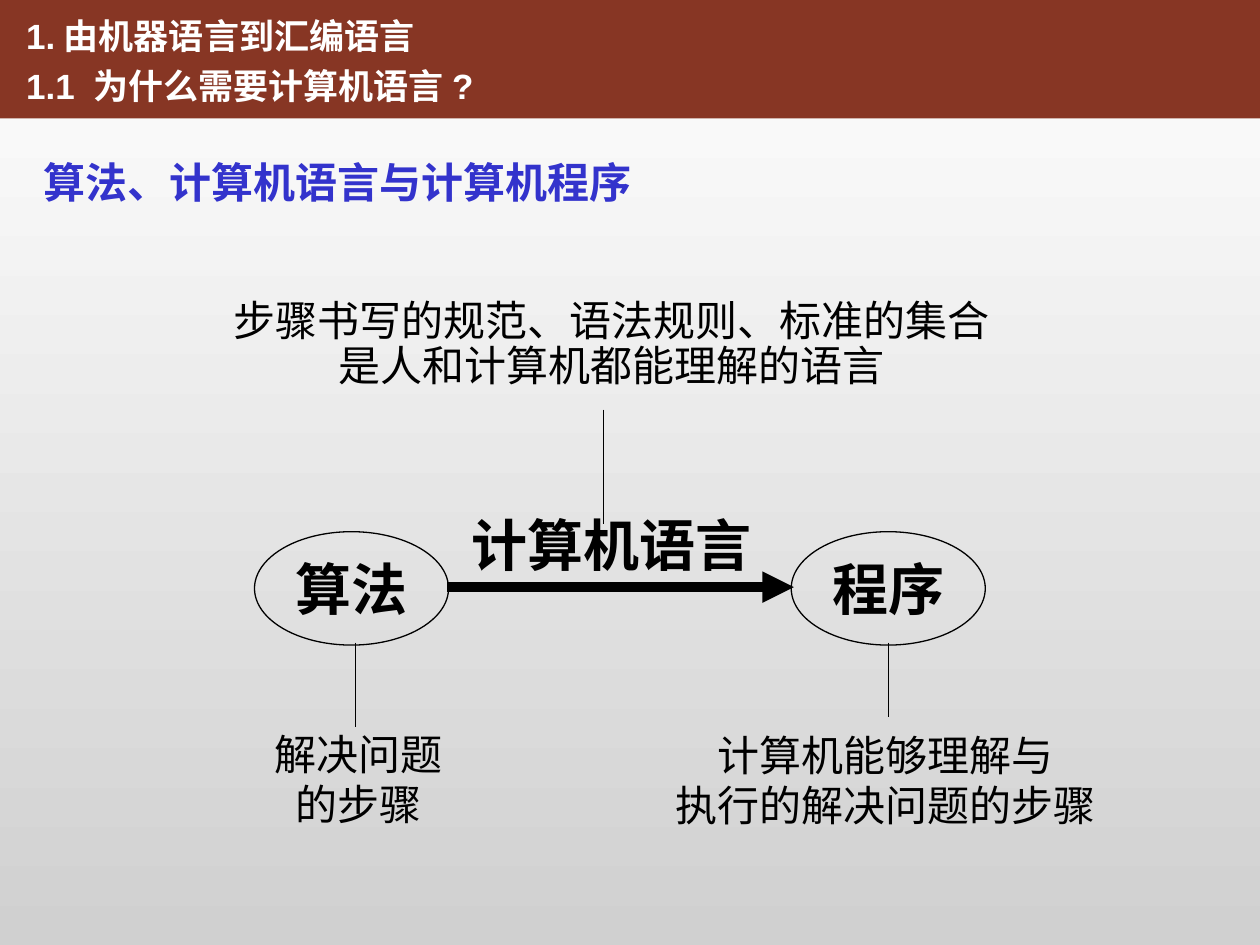
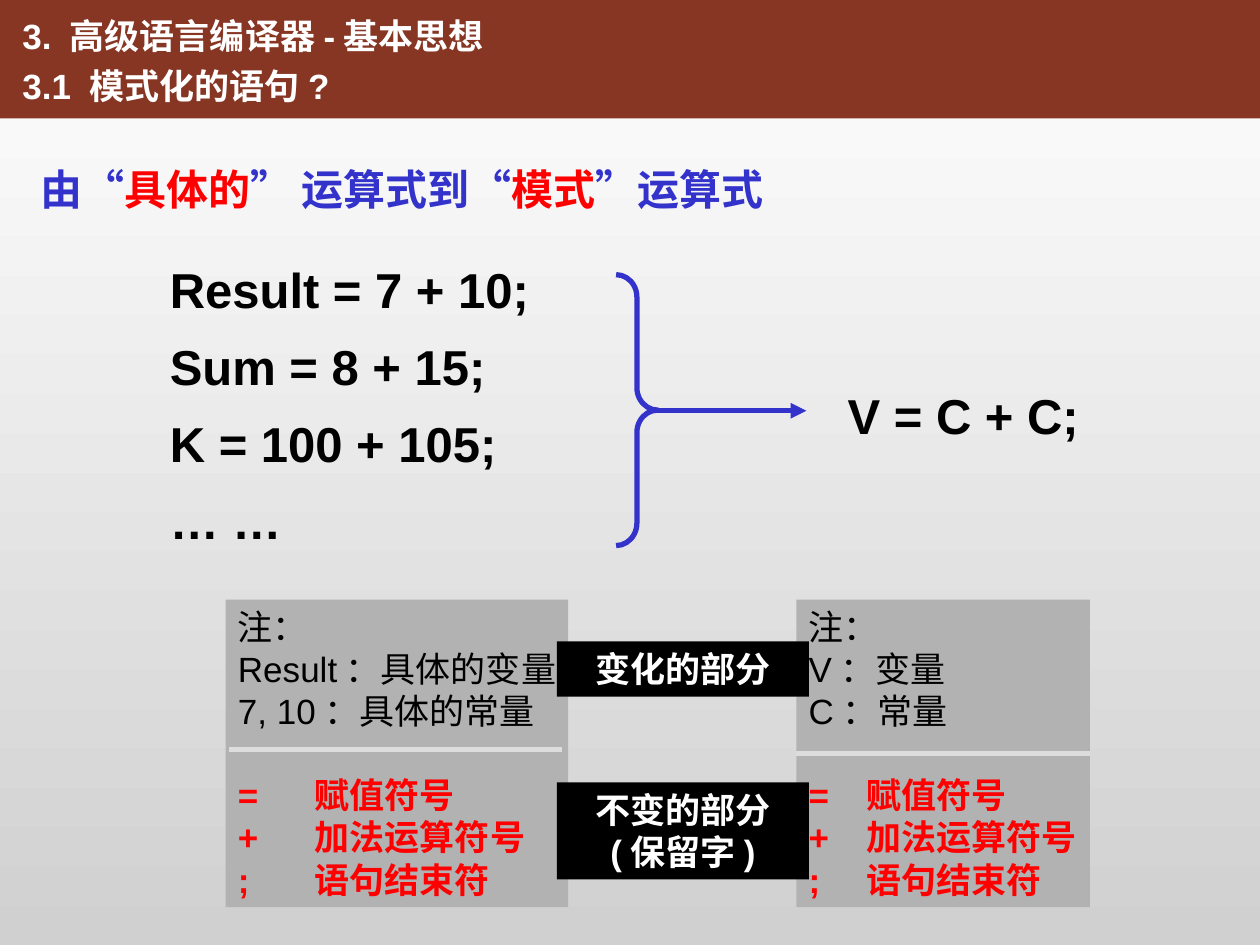
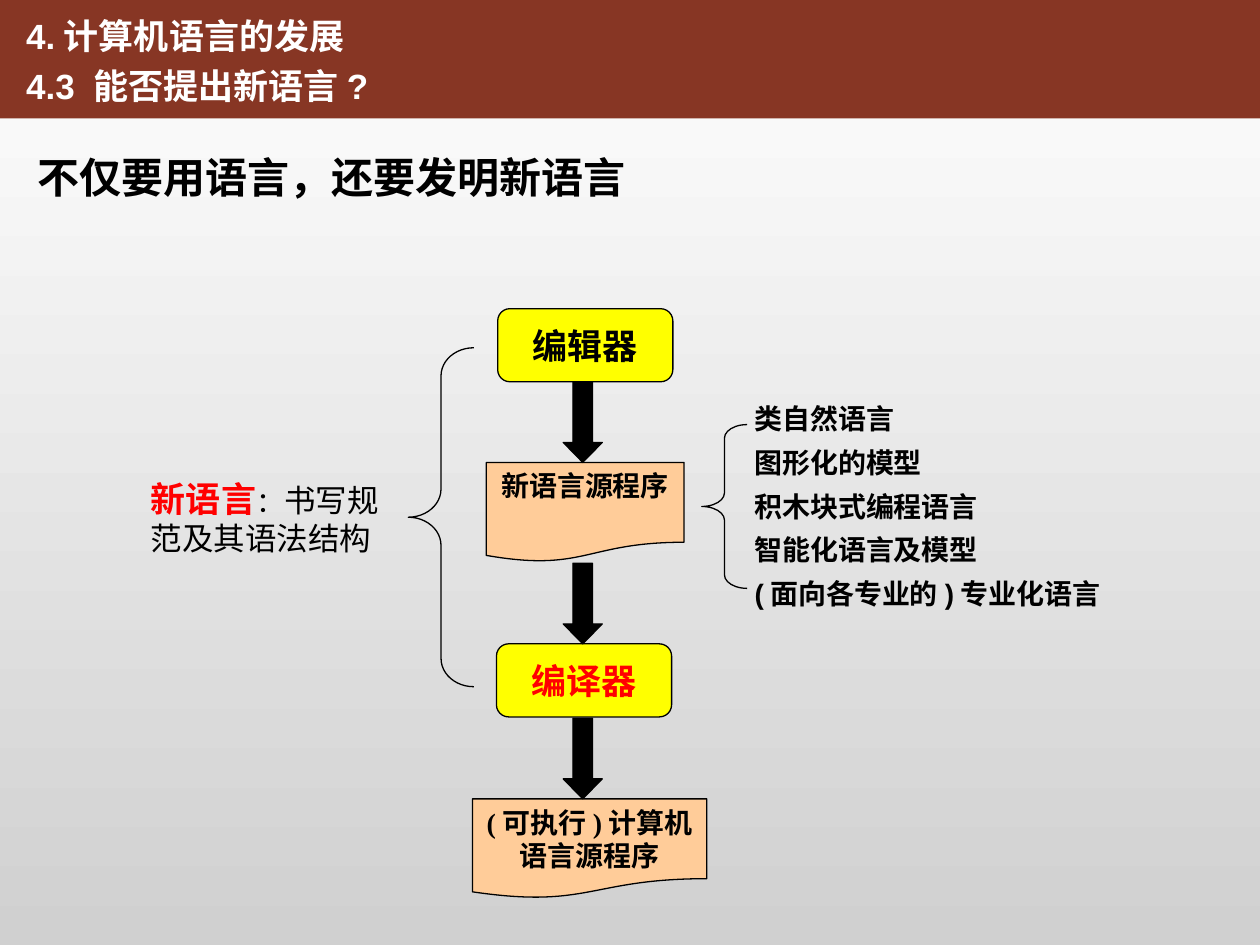
from lxml.etree import SubElement
from pptx import Presentation
from pptx.dml.color import RGBColor
from pptx.enum.shapes import MSO_CONNECTOR as Link, MSO_SHAPE as Shape
from pptx.enum.text import MSO_ANCHOR as Anchor, PP_ALIGN as Align
from pptx.oxml.ns import qn
from pptx.util import Inches, Pt

BLACK = RGBColor(0x00, 0x00, 0x00)
WHITE = RGBColor(0xFF, 0xFF, 0xFF)
RED = RGBColor(0xFF, 0x00, 0x00)
BLUE = RGBColor(0x33, 0x33, 0xCC)
BROWN = RGBColor(0x87, 0x36, 0x24)
SILVER = RGBColor(0xD0, 0xD0, 0xD0)
GRAY = RGBColor(0xB2, 0xB2, 0xB2)
RULE = RGBColor(0xDD, 0xDD, 0xDD)
YELLOW = RGBColor(0xFF, 0xFF, 0x00)
PEACH = RGBColor(0xFF, 0xCC, 0x99)
SANS = "Arial"
SERIF = "Times New Roman"


def add_span(para, words, size, color=BLACK, bold=False, font=SANS):
    span = para.add_run()
    span.text = words
    span.font.name = font
    span.font.size = Pt(size)
    span.font.bold = bold
    span.font.color.rgb = color


def write(box, lines, size, align=Align.LEFT, spacing=1.0,
          anchor=Anchor.TOP, wrap=False, **style):
    frame = box.text_frame
    frame.word_wrap = wrap
    frame.vertical_anchor = anchor
    if align == Align.LEFT and not wrap:
        frame.margin_right = 0
    for index, line in enumerate(lines):
        para = frame.add_paragraph() if index else frame.paragraphs[0]
        para.alignment = align
        para.line_spacing = spacing
        spans = [(line, {})] if isinstance(line, str) else line
        for words, changes in spans:
            add_span(para, words, **{"size": size, **style, **changes})


def add_text(page, place, lines, size, **style):
    box = page.shapes.add_textbox(*map(Inches, place))
    write(box, lines, size, **style)
    return box


def add_figure(page, kind, place, fill=None, line=BLACK, width=0.75, adjust=()):
    figure = page.shapes.add_shape(kind, *map(Inches, place))
    figure.shadow.inherit = False
    if fill is None:
        figure.fill.background()
    else:
        figure.fill.solid()
        figure.fill.fore_color.rgb = fill
    if line is None:
        figure.line.fill.background()
    else:
        figure.line.color.rgb = line
        figure.line.width = Pt(width)
    for index, value in enumerate(adjust):
        figure.adjustments[index] = value
    return figure


def add_line(page, start, end, color=BLACK, width=0.75, arrow=False):
    line = page.shapes.add_connector(Link.STRAIGHT, *map(Inches, start + end))
    line.line.color.rgb = color
    line.line.width = Pt(width)
    properties = line._element.spPr
    if arrow:
        SubElement(properties.find(qn("a:ln")), qn("a:tailEnd"), type="triangle")
    SubElement(properties, qn("a:effectLst"))
    return line


def add_tab(para, position):
    tabs = SubElement(para._p.get_or_add_pPr(), qn("a:tabLst"))
    SubElement(tabs, qn("a:tab"), pos=str(Inches(position)), algn="l")


def add_page(deck, left, width, titles):
    page = deck.slides.add_slide(deck.slide_layouts[6])
    add_figure(page, Shape.RECTANGLE, (0, 0, 10, 0.94), BROWN, None)
    add_text(page, (left, 0, width, 0.9), titles, 20, spacing=1.2,
             color=WHITE, bold=True)
    return page


def add_heading(page, place, spans, **style):
    add_text(page, place, [spans], 24, spacing=1.3, wrap=True, bold=True, **style)


def add_note(page, left, width, meanings, tab):
    note = add_figure(page, Shape.RECTANGLE, (left, 4.76, width, 2.44), GRAY, None)
    symbols = ["=\t赋值符号", "+\t加法运算符号", ";\t语句结束符"]
    marked = [[(symbol, {"color": RED, "bold": True})] for symbol in symbols]
    write(note, ["注：", *meanings, *marked], 20)
    note.text_frame.word_wrap = True
    symbol_paras = note.text_frame.paragraphs[-len(symbols):]
    symbol_paras[0].space_before = Pt(24)
    for para in symbol_paras:
        add_tab(para, tab)
    return note


def build_language_page(deck):
    page = add_page(deck, 0.11, 3.83,
                    ["1.由机器语言到汇编语言", "1.1 为什么需要计算机语言?"])
    add_heading(page, (0.25, 1.07, 5.82, 0.62), "算法、计算机语言与计算机程序", color=BLUE)
    for left, name in ((2.02, "算法"), (6.28, "程序")):
        oval = add_figure(page, Shape.OVAL, (left, 4.22, 1.54, 0.9))
        write(oval, [name], 32, align=Align.CENTER, anchor=Anchor.MIDDLE,
              font=SERIF, bold=True)
    for place, lines, spacing in (
        ((2.08, 5.73, 1.53, 0.9), ["解决问题", "的步骤"], 1.0),
        ((5.26, 5.74, 3.53, 0.9), ["计算机能够理解与", "执行的解决问题的步骤"], 1.0),
        ((1.75, 2.33, 6.2, 0.82),
         ["步骤书写的规范、语法规则、标准的集合", "是人和计算机都能理解的语言"], 0.9),
    ):
        add_text(page, place, lines, 24, align=Align.CENTER, spacing=spacing,
                 anchor=Anchor.MIDDLE, font=SERIF)
    for x, top, bottom in ((2.82, 5.1, 5.77), (7.05, 5.1, 5.69), (4.79, 3.25, 4.16)):
        add_line(page, (x, top), (x, bottom))
    add_line(page, (3.55, 4.66), (6.3, 4.66), width=6, arrow=True)
    add_text(page, (3.64, 4, 2.42, 0.64), ["计算机语言"], 32, font=SERIF, bold=True)


def build_pattern_page(deck):
    page = add_page(deck, 0.08, 3.86,
                    ["3. 高级语言编译器-基本思想", "3.1 模式化的语句?"])
    red = {"color": RED}
    add_heading(page, (0.22, 1.13, 9.39, 0.62),
                [("由“", {}), ("具体的", red), ("” 运算式到“", {}),
                 ("模式", red), ("”运算式", {})], font=SERIF, color=BLUE)
    formulas = (("Result = 7 + 10;", 3.05), ("Sum = 8 + 15;", 2.7),
                ("K = 100 + 105;", 2.79), ("… …", 1.08))
    for row, (formula, width) in enumerate(formulas):
        add_text(page, (1.25, 2.01 + 0.61 * row, width, 0.57), [formula], 28,
                 bold=True)
    add_text(page, (6.63, 3.01, 2.03, 0.57), ["V = C + C;"], 28, bold=True)
    add_figure(page, Shape.RIGHT_BRACE, (4.89, 2.18, 0.33, 2.15), line=BLUE,
               width=3, adjust=(0.54, 0.5))
    add_line(page, (5.16, 3.26), (6.4, 3.26), BLUE, 3, arrow=True)

    add_note(page, 1.79, 2.72, ["Result：具体的变量", "7, 10：具体的常量"], 0.61)
    add_line(page, (1.82, 5.95), (4.46, 5.95), RULE, 3)
    pattern_note = add_note(page, 6.32, 2.33, ["V：变量", "C：常量"], 0.46)
    divider = add_line(page, (6.32, 5.98), (8.65, 5.98), RULE, 3)
    divider.begin_connect(pattern_note, 1)
    divider.end_connect(pattern_note, 3)
    for top, height, lines in ((6.21, 0.77, ["不变的部分", "(保留字)"]),
                               (5.09, 0.44, ["变化的部分"])):
        label = add_figure(page, Shape.RECTANGLE, (4.42, top, 2, height), BLACK, None)
        write(label, lines, 20, align=Align.CENTER, wrap=True, color=WHITE, bold=True)


def build_new_language_page(deck):
    page = add_page(deck, 0.11, 2.99, ["4.计算机语言的发展", "4.3 能否提出新语言?"])
    add_heading(page, (0.2, 1.03, 5.42, 0.62), "不仅要用语言，还要发明新语言",
                align=Align.JUSTIFY)
    for place, name, anchor in (
        ((3.75, 6.34, 1.86, 0.79), "(可执行)计算机语言源程序", Anchor.MIDDLE),
        ((3.86, 3.67, 1.57, 0.79), "新语言源程序", Anchor.TOP),
    ):
        document = add_figure(page, Shape.FLOWCHART_DOCUMENT, place, PEACH)
        write(document, [name], 16, align=Align.CENTER, anchor=anchor, wrap=True,
              font=SERIF, bold=True)
    for left, top, name, color in ((3.95, 2.45, "编辑器", BLACK),
                                   (3.94, 5.11, "编译器", RED)):
        tool = add_figure(page, Shape.ROUNDED_RECTANGLE, (left, top, 1.39, 0.58), YELLOW)
        write(tool, [name], 20, align=Align.CENTER, anchor=Anchor.MIDDLE,
              color=color, bold=True)
    for top in (3.03, 4.47, 5.7):
        add_figure(page, Shape.DOWN_ARROW, (4.47, top, 0.31, 0.64), BLACK,
                   adjust=(0.5, 0.51))
    for place, curve in (((3.24, 2.76, 0.52, 2.69), 0.43),
                         ((5.57, 3.37, 0.36, 1.3), 0.3)):
        add_figure(page, Shape.LEFT_BRACE, place, adjust=(curve, 0.5))
    add_text(page, (1.1, 3.74, 2.2, 0.74),
             [[("新语言", {"size": 20, "color": RED, "bold": True}),
               ("：", {"size": 16}), ("书写规范及其语法结构", {})]], 18, wrap=True)
    add_text(page, (5.89, 3.06, 2.94, 1.84),
             ["类自然语言", "图形化的模型", "积木块式编程语言", "智能化语言及模型",
              "(面向各专业的)专业化语言"], 16, spacing=1.3, bold=True)


def main():
    deck = Presentation()
    deck.slide_width = Inches(10)
    deck.slide_height = Inches(7.5)
    backdrop = deck.slide_master.background.fill
    backdrop.gradient()
    backdrop.gradient_angle = 270
    for stop, color in zip(backdrop.gradient_stops, (WHITE, SILVER)):
        stop.color.rgb = color
    build_language_page(deck)
    build_pattern_page(deck)
    build_new_language_page(deck)
    deck.save("out.pptx")


if __name__ == "__main__":
    main()
